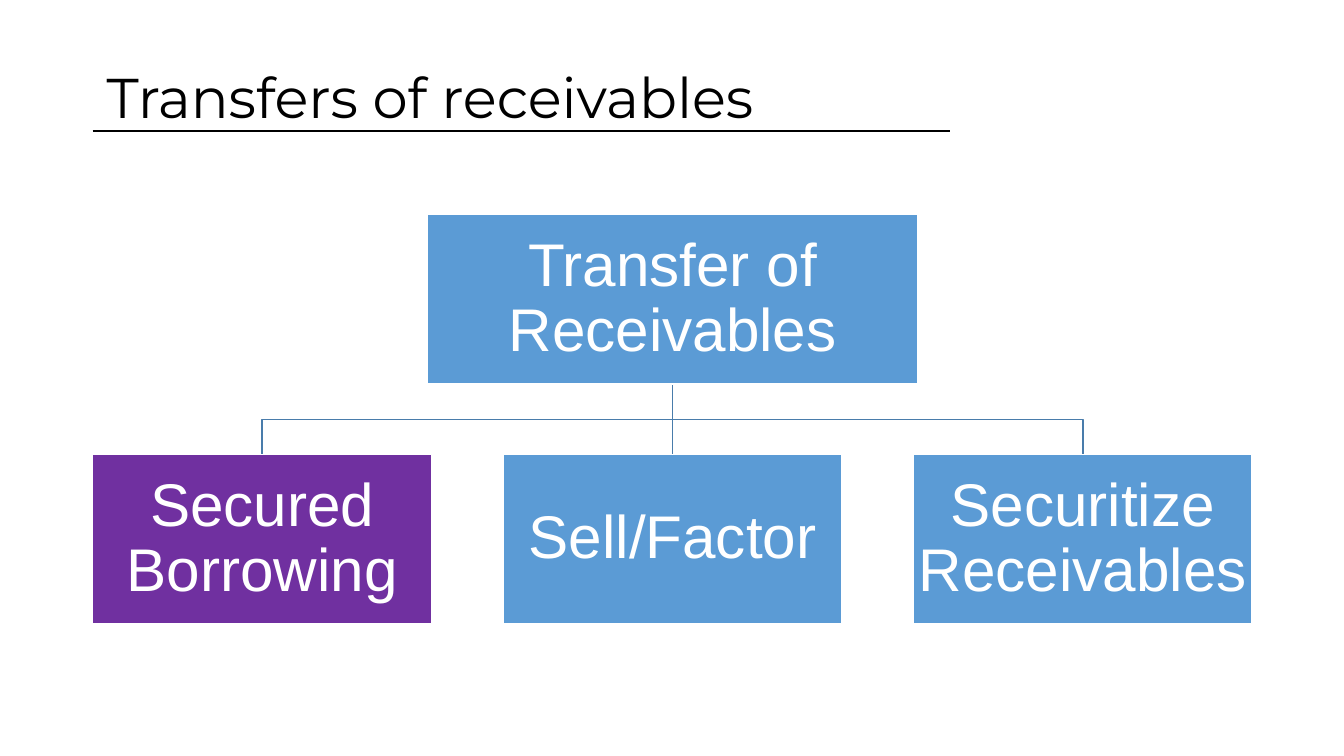
from lxml import etree
from pptx import Presentation
from pptx.dml.color import RGBColor
from pptx.enum import shapes, text
from pptx.oxml.ns import qn
from pptx.util import Inches, Pt

TITLE = "Transfers of receivables"
ROOT = "Transfer of Receivables"
BRANCHES = [
    ("Secured Borrowing", "purple"),
    ("Sell/Factor", "blue"),
    ("Securitize Receivables", "blue"),
]
COLORS = {"black": "000000", "white": "FFFFFF", "blue": "5B9BD5",
          "purple": "7030A0", "link": "497CAB"}

LEFT, PITCH = 0.92, 4.07
BRANCH_W, ROOT_W, BOX_H = 3.36, 4.87, 1.68
ROOT_TOP, BRANCH_TOP = 2.13, 4.51
ROOT_BOTTOM = ROOT_TOP + BOX_H
CENTER = LEFT + PITCH + BRANCH_W / 2


def color(name):
    return RGBColor.from_string(COLORS[name])


def style_line(sp, name):
    sp.line.color.rgb = color(name)
    sp.line.width = Pt(1)


def write(sp, content, font, size, name):
    tf = sp.text_frame
    tf.word_wrap = True
    tf.vertical_anchor = text.MSO_ANCHOR.MIDDLE
    p = tf.paragraphs[0]
    p.text = content
    p.line_spacing = 0.9
    p.font.name = font
    p.font.size = Pt(size)
    p.font.color.rgb = color(name)
    return tf


def add_line(slide, start, end, name):
    line = slide.shapes.add_connector(
        shapes.MSO_CONNECTOR.STRAIGHT, *map(Inches, start + end))
    style_line(line, name)
    etree.SubElement(line._element.spPr, qn("a:effectLst"))
    return line


def add_elbow(slide, x):
    middle = (ROOT_BOTTOM + BRANCH_TOP) / 2
    route = [(CENTER, middle), (x, middle), (x, BRANCH_TOP)]
    builder = slide.shapes.build_freeform(Inches(CENTER), Inches(ROOT_BOTTOM))
    builder.add_line_segments(
        [(Inches(px), Inches(py)) for px, py in route], close=False)
    sp = builder.convert_to_shape()
    sp.shadow.inherit = False
    sp.fill.background()
    style_line(sp, "link")


def add_box(slide, x, y, w, content, fill):
    sp = slide.shapes.add_shape(
        shapes.MSO_SHAPE.RECTANGLE, *map(Inches, (x, y, w, BOX_H)))
    sp.shadow.inherit = False
    sp.fill.solid()
    sp.fill.fore_color.rgb = color(fill)
    style_line(sp, "white")
    tf = write(sp, content, "Arial", 43, "white")
    tf.margin_left = tf.margin_right = Inches(0.03)
    tf.margin_top = tf.margin_bottom = Inches(0.03)
    tf.paragraphs[0].alignment = text.PP_ALIGN.CENTER
    return sp


def main():
    prs = Presentation()
    prs.slide_width, prs.slide_height = Inches(13.33), Inches(7.5)
    slide = prs.slides.add_slide(prs.slide_layouts[6])

    add_line(slide, (LEFT, 1.3), (9.42, 1.3), "black")
    title = slide.shapes.add_textbox(*map(Inches, (0.96, 0.52, 10.43, 0.95)))
    write(title, TITLE, "Montserrat", 40, "black")

    for x in (CENTER + PITCH, CENTER - PITCH):
        add_elbow(slide, x)
    trunk = add_line(slide, (CENTER, ROOT_BOTTOM), (CENTER, BRANCH_TOP), "link")

    root = add_box(slide, CENTER - ROOT_W / 2, ROOT_TOP, ROOT_W, ROOT, "blue")
    branches = [add_box(slide, LEFT + i * PITCH, BRANCH_TOP, BRANCH_W, *branch)
                for i, branch in enumerate(BRANCHES)]
    trunk.begin_connect(root, 2)
    trunk.end_connect(branches[1], 0)

    prs.save("out.pptx")


if __name__ == "__main__":
    main()
